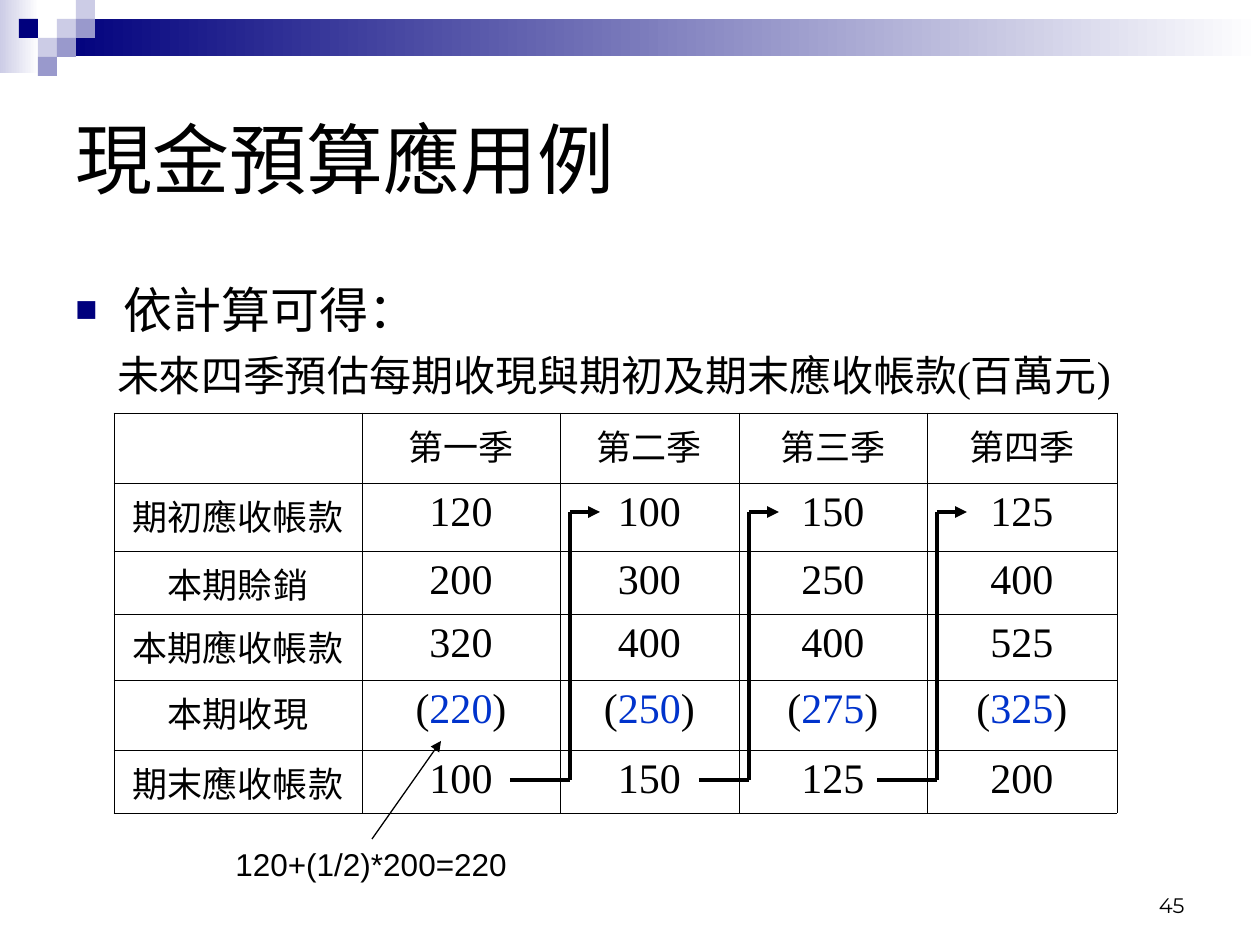
from dataclasses import dataclass
from itertools import accumulate

from lxml import etree
from pptx import Presentation
from pptx.dml.color import RGBColor
from pptx.enum.shapes import MSO_CONNECTOR, MSO_SHAPE
from pptx.enum.text import MSO_ANCHOR, MSO_AUTO_SIZE, PP_ALIGN
from pptx.oxml.ns import qn
from pptx.util import Emu, Pt

RECTANGLE = MSO_SHAPE.RECTANGLE
STRAIGHT = MSO_CONNECTOR.STRAIGHT
LEFT, CENTER, RIGHT = PP_ALIGN.LEFT, PP_ALIGN.CENTER, PP_ALIGN.RIGHT
TOP, MIDDLE, BOTTOM = MSO_ANCHOR.TOP, MSO_ANCHOR.MIDDLE, MSO_ANCHOR.BOTTOM


@dataclass(frozen=True)
class Theme:
    ink: str = "000000"
    accent: str = "0033CC"
    navy: str = "00007D"
    mid: str = "9999CC"
    pale: str = "CCCCE6"
    white: str = "FFFFFF"
    sans: str = "Arial"
    serif: str = "Times New Roman"
    number_font: str = "Montserrat"
    title: int = 44
    body: int = 28
    figure: int = 24
    label: int = 20
    note: int = 18
    page_number: int = 12


THEME = Theme()
PX = 914400 / 126

# Content
TITLE = "現金預算應用例"
LEAD = "依計算可得："
CAPTION = "未來四季預估每期收現與期初及期末應收帳款(百萬元)"
NOTE = "120+(1/2)*200=220"
PAGE_NUMBER = "45"
ROWS = [
    ("", "第一季", "第二季", "第三季", "第四季"),
    ("期初應收帳款", "120", "100", "150", "125"),
    ("本期賒銷", "200", "300", "250", "400"),
    ("本期應收帳款", "320", "400", "400", "525"),
    ("本期收現", "(220)", "(250)", "(275)", "(325)"),
    ("期末應收帳款", "100", "150", "125", "200"),
]

# Layout in px
TABLE_LEFT, TABLE_TOP = 114, 413
COLUMN_WIDTHS = (248, 198, 179, 188, 190)
ROW_HEIGHTS = (70, 68, 63, 66, 70, 63)
OPENING_Y, CLOSING_Y = 512, 780
CARRY_TAILS = (60, 50, 60)
SPINE_INSET, CARRY_HEAD = 10, 30
SQUARE = 19
SQUARES = [  # column, row, colour
    (3, 1, THEME.pale), (4, 0, THEME.pale), (4, 1, THEME.mid),
    (2, 2, THEME.pale), (1, 1, THEME.navy), (3, 2, THEME.mid),
    (2, 3, THEME.mid),
]


def px(value):
    return Emu(round(value * PX))


def color(code):
    return RGBColor.from_string(code)


def add_block(page, x, y, width, height, *colors):
    """Draw a borderless rectangle, solid or fading from left to right."""
    block = page.shapes.add_shape(RECTANGLE, px(x), px(y), px(width), px(height))
    block.shadow.inherit = False
    block.line.fill.background()
    if len(colors) == 1:
        block.fill.solid()
        block.fill.fore_color.rgb = color(colors[0])
    else:
        block.fill.gradient()
        block.fill.gradient_angle = 0
        for stop, code in zip(block.fill.gradient_stops, colors):
            stop.color.rgb = color(code)


def write(frame, *texts, size, font=THEME.sans, colors=(THEME.ink,),
          align=LEFT, before=0):
    """Fill the first paragraph with one span for each text and colour."""
    para = frame.paragraphs[0]
    para.alignment = align
    if before:
        para.space_before = Pt(before)
    for text, code in zip(texts, colors):
        span = para.add_run()
        span.text = text
        span.font.size = Pt(size)
        span.font.name = font
        span.font.color.rgb = color(code)
    return para


def add_text(page, text, x, y, width, height, anchor=TOP, wrap=True,
             grow=False, **style):
    box = page.shapes.add_textbox(px(x), px(y), px(width), px(height))
    frame = box.text_frame
    frame.word_wrap = wrap
    frame.vertical_anchor = anchor
    frame.auto_size = MSO_AUTO_SIZE.SHAPE_TO_FIT_TEXT if grow else MSO_AUTO_SIZE.NONE
    return write(frame, text, **style)


def add_bullet(para, indent):
    props = para._p.get_or_add_pPr()
    props.set("marL", str(px(indent)))
    props.set("indent", str(-px(indent)))
    bullet_color = etree.SubElement(props, qn("a:buClr"))
    etree.SubElement(bullet_color, qn("a:srgbClr"), val=THEME.navy)
    etree.SubElement(props, qn("a:buSzPct"), val="75000")
    etree.SubElement(props, qn("a:buFont"), typeface=THEME.sans)
    etree.SubElement(props, qn("a:buChar"), char="■")


def add_line(page, start, end, width, arrow=False):
    line = page.shapes.add_connector(STRAIGHT, *map(px, start + end))
    line.line.color.rgb = color(THEME.ink)
    line.line.width = Pt(width)
    if arrow:
        etree.SubElement(line.line._get_or_add_ln(), qn("a:tailEnd"), type="triangle")
    etree.SubElement(line._element.spPr, qn("a:effectLst"))


def add_borders(cell):
    props = cell._tc.get_or_add_tcPr()
    for position, side in enumerate(("lnL", "lnR", "lnT", "lnB")):
        border = etree.Element(qn(f"a:{side}"), w=str(Pt(0.45)))
        fill = etree.SubElement(border, qn("a:solidFill"))
        etree.SubElement(fill, qn("a:srgbClr"), val=THEME.ink)
        props.insert(position, border)


def add_receivables(page):
    table = page.shapes.add_table(
        len(ROWS), len(COLUMN_WIDTHS), px(TABLE_LEFT), px(TABLE_TOP),
        px(sum(COLUMN_WIDTHS)), px(sum(ROW_HEIGHTS))).table
    table.first_row = table.horz_banding = False
    for column, width in zip(table.columns, COLUMN_WIDTHS):
        column.width = px(width)
    for r, (height, texts) in enumerate(zip(ROW_HEIGHTS, ROWS)):
        table.rows[r].height = px(height)
        for c, text in enumerate(texts):
            cell = table.cell(r, c)
            cell.fill.background()
            add_borders(cell)
            spans, colors = (text,), (THEME.ink,)
            if text.startswith("("):
                spans = ("(", text[1:-1], ")")
                colors = (THEME.ink, THEME.accent, THEME.ink)
            if text:
                size = THEME.figure if r and c else THEME.label
                write(cell.text_frame, *spans, size=size, font=THEME.serif,
                      colors=colors, align=CENTER)


def add_carry_arrows(page):
    """Lead each closing balance to the next quarter's opening balance."""
    edges = list(accumulate(COLUMN_WIDTHS, initial=TABLE_LEFT))
    for edge, tail in zip(edges[2:], CARRY_TAILS):
        spine = edge + SPINE_INSET
        points = [(spine - tail, CLOSING_Y), (spine, CLOSING_Y),
                  (spine, OPENING_Y), (spine + CARRY_HEAD, OPENING_Y)]
        for start, end in zip(points, points[1:]):
            add_line(page, start, end, 2.25, arrow=end == points[-1])


def main():
    deck = Presentation()
    deck.slide_width, deck.slide_height = px(1260), px(945)
    page = deck.slides.add_slide(deck.slide_layouts[6])

    add_block(page, 0, 0, 39, 73, THEME.pale, THEME.white)
    add_block(page, 57, 19, 1203, 37, THEME.navy, THEME.white)
    for column, row, code in SQUARES:
        add_block(page, column * SQUARE, row * SQUARE, SQUARE, SQUARE, code)

    add_text(page, TITLE, 63, 63, 1134, 189, anchor=MIDDLE, size=THEME.title)
    lead = add_text(page, LEAD, 63, 273, 1153, 636, size=THEME.body, before=7)
    add_bullet(lead, 48)
    add_text(page, CAPTION, 89, 343, 1050, 63, anchor=MIDDLE, wrap=False, grow=True,
             size=THEME.figure, font=THEME.serif, align=CENTER)
    add_receivables(page)
    add_carry_arrows(page)
    add_line(page, (372, 839), (441, 741), 0.75, arrow=True)
    add_text(page, NOTE, 223, 839, 427, 50, grow=True, size=THEME.note, before=11.2)
    add_text(page, PAGE_NUMBER, 903, 861, 294, 63, anchor=BOTTOM,
             size=THEME.page_number, font=THEME.number_font, align=RIGHT)
    deck.save("out.pptx")


if __name__ == "__main__":
    main()
